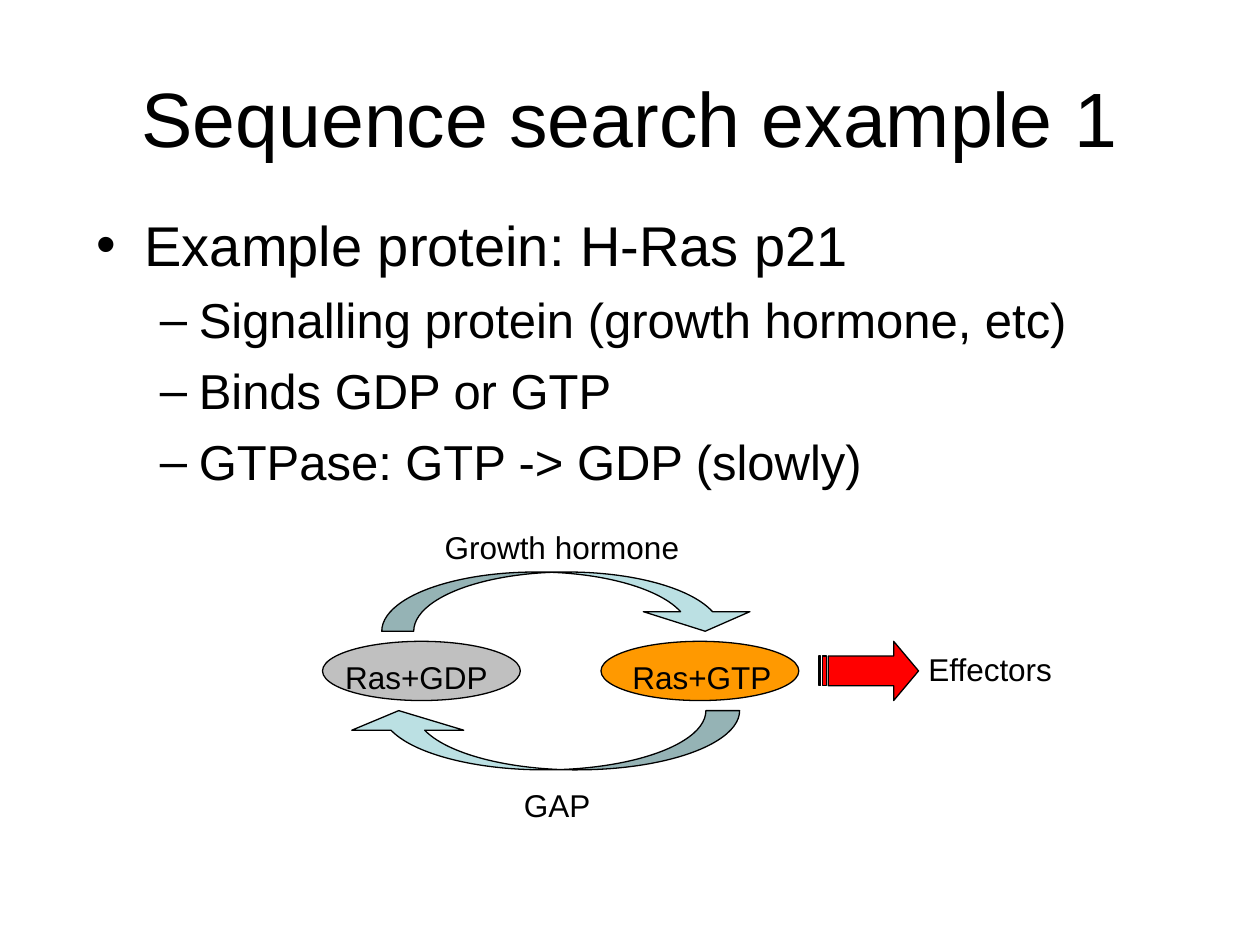
import dataclasses
import typing

import pptx
import pptx.dml.color
import pptx.enum.shapes
import pptx.enum.text
import pptx.oxml.ns
import pptx.util
import lxml.etree

COLS, ROWS = 100, 75
KIND = pptx.enum.shapes.MSO_SHAPE
ALIGN = pptx.enum.text.PP_ALIGN
ANCHOR = pptx.enum.text.MSO_ANCHOR
FIT = pptx.enum.text.MSO_AUTO_SIZE

deck = pptx.Presentation()
deck.slide_width = pptx.util.Inches(10)
deck.slide_height = pptx.util.Inches(7.5)
slide = deck.slides.add_slide(deck.slide_layouts[6])


@dataclasses.dataclass
class Area:
    col: float
    row: float
    wide: float
    high: float

    def place(self) -> list[int]:
        x, y = deck.slide_width / COLS, deck.slide_height / ROWS
        return [round(self.col * x), round(self.row * y),
                round(self.wide * x), round(self.high * y)]


@dataclasses.dataclass
class Form:
    kind: typing.Any
    area: Area
    fill: str
    bends: tuple[float, ...] = ()
    turn: float = 0


@dataclasses.dataclass
class Label:
    text: str
    area: Area


@dataclasses.dataclass
class Level:
    mark: str
    size: int
    left: float
    hang: float
    gap: int


def paint(code: str) -> pptx.dml.color.RGBColor:
    return pptx.dml.color.RGBColor.from_string(code)


def style(para: typing.Any, size: int) -> None:
    para.font.name = "Arial"
    para.font.size = pptx.util.Pt(size)
    para.font.color.rgb = paint("000000")


def draw(form: Form) -> None:
    shape = slide.shapes.add_shape(form.kind, *form.area.place())
    shape.shadow.inherit = False
    shape.fill.solid()
    shape.fill.fore_color.rgb = paint(form.fill)
    shape.line.color.rgb = paint("000000")
    shape.line.width = pptx.util.Pt(0.75)
    shape.rotation = form.turn
    for i, bend in enumerate(form.bends):
        shape.adjustments[i] = bend


def write(label: Label, wrap: bool) -> typing.Any:
    frame = slide.shapes.add_textbox(*label.area.place()).text_frame
    frame.word_wrap = wrap
    frame.text = label.text
    return frame


def tag(label: Label) -> None:
    frame = write(label, False)
    frame.auto_size = FIT.SHAPE_TO_FIT_TEXT
    style(frame.paragraphs[0], 18)


def mark(para: typing.Any, level: Level, first: bool) -> None:
    props = para._p.get_or_add_pPr()
    props.set("marL", str(pptx.util.Inches(level.left)))
    props.set("indent", str(-pptx.util.Inches(level.hang)))
    para.space_before = pptx.util.Pt(0 if first else level.gap)
    name = pptx.oxml.ns.qn
    lxml.etree.SubElement(props, name("a:buFont")).set("typeface", "Arial")
    lxml.etree.SubElement(props, name("a:buChar")).set("char", level.mark)
    style(para, level.size)


TOP = Level("•", 32, 0.38, 0.38, 8)
SUB = Level("–", 28, 0.81, 0.31, 7)
POINTS = [
    ("Example protein: H-Ras p21", TOP),
    ("Signalling protein (growth hormone, etc)", SUB),
    ("Binds GDP or GTP", SUB),
    ("GTPase: GTP -> GDP (slowly)", SUB),
]
HIGH = 4.7
MID = 50.9
STEP = 5.5
FORMS = [
    Form(KIND.OVAL, Area(25.6, MID, 15.7, HIGH), "C0C0C0"),
    Form(KIND.OVAL, Area(47.7, MID, 15.7, HIGH), "FF9900"),
    Form(KIND.CURVED_DOWN_ARROW, Area(30.3, MID - STEP, 29.9, HIGH),
         "BBE0E3", (0.54, 1.8, 0.33)),
    Form(KIND.STRIPED_RIGHT_ARROW, Area(65, MID, 7.9, HIGH),
         "FF0000", (0.5, 0.42)),
    Form(KIND.CURVED_DOWN_ARROW, Area(27.2, MID + STEP, 31.5, HIGH),
         "BBE0E3", (0.57, 1.89, 0.33), 180),
]
LABELS = [
    Label("Ras+GDP", Area(26.4, 51.7, 13.5, 4)),
    Label("Ras+GTP", Area(49.2, 51.7, 13.5, 4)),
    Label("Growth hormone", Area(34.3, 41.4, 20.8, 4)),
    Label("Effectors", Area(72.7, 51.1, 12, 4)),
    Label("GAP", Area(40.6, 61.9, 7.5, 4)),
]

title = write(Label("Sequence search example 1", Area(5, 3, 90, 12.5)), True)
title.vertical_anchor = ANCHOR.MIDDLE
title.paragraphs[0].alignment = ALIGN.CENTER
style(title.paragraphs[0], 44)

lines = "\n".join(text for text, _ in POINTS)
body = write(Label(lines, Area(6.7, 16.2, 88.3, 25.2)), True)
for i, (para, (_, level)) in enumerate(zip(body.paragraphs, POINTS)):
    mark(para, level, i == 0)

for form in FORMS:
    draw(form)
for label in LABELS:
    tag(label)

deck.save("out.pptx")
